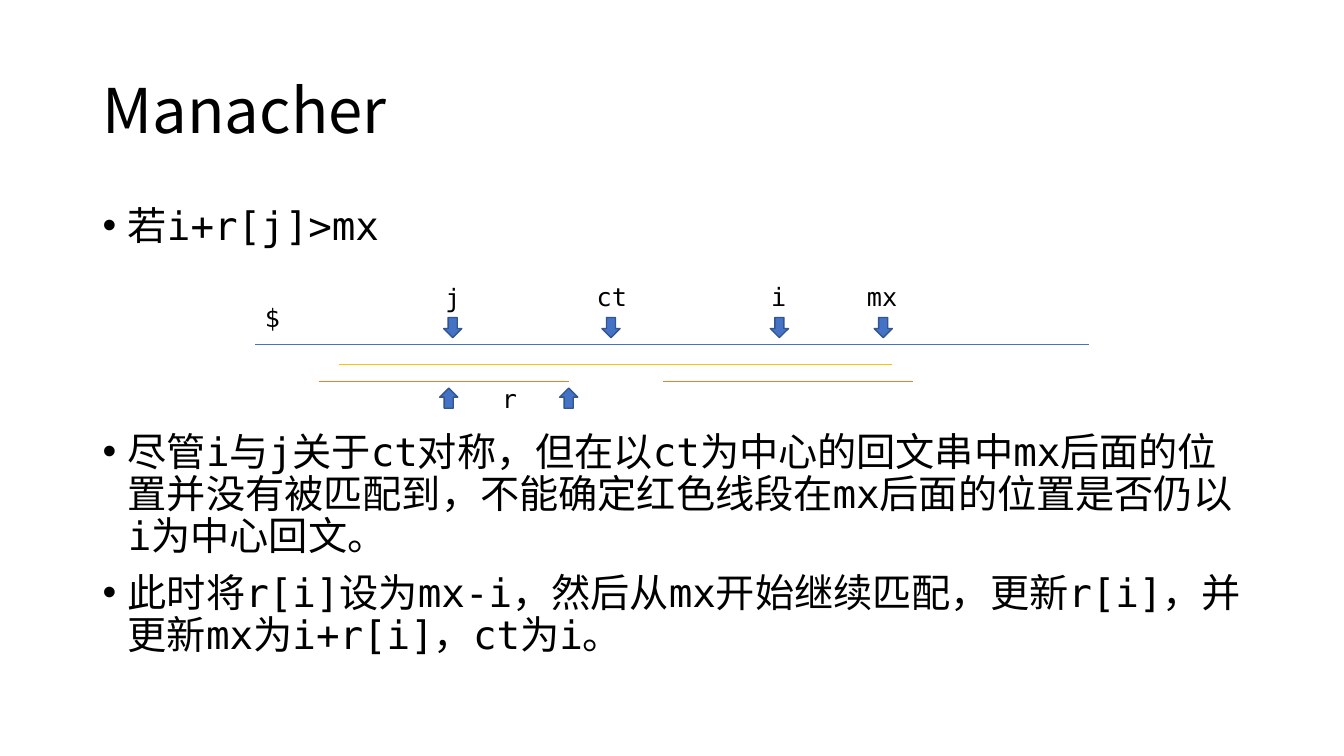
from pptx import Presentation
from pptx.dml.color import RGBColor
from pptx.enum import shapes, text
from pptx.oxml.ns import qn
from pptx.util import Inches, Pt

MONO, CHINESE = "DejaVu Sans Mono", "Noto Sans CJK SC"

deck = Presentation()
deck.slide_width, deck.slide_height = Inches(13.33), Inches(7.5)
slide = deck.slides.add_slide(deck.slide_layouts[6])


def color(value):
    return RGBColor.from_string(value)


def write(left, top, width, height, lines, size=18, font=MONO, anchor="TOP",
          spacing=1.0, before=None, bullet=False):
    frame = slide.shapes.add_textbox(*map(Inches, (left, top, width, height))).text_frame
    frame.word_wrap = True
    frame.vertical_anchor = getattr(text.MSO_ANCHOR, anchor)
    for n, line in enumerate(lines):
        par = frame.add_paragraph() if n else frame.paragraphs[0]
        par.line_spacing = spacing
        par.space_before = Pt(before[n] if before else 0)
        if bullet:
            props = par._p.get_or_add_pPr()
            props.set("marL", str(Inches(0.25)))
            props.set("indent", str(-Inches(0.25)))
            props.append(props.makeelement(qn("a:buFont"), {"typeface": "Arial"}))
            props.append(props.makeelement(qn("a:buChar"), {"char": "•"}))
        run = par.add_run()
        run.text = line
        run.font.size, run.font.name = Pt(size), font
        run.font.color.rgb = color("000000")
        latin = run._r.rPr.find(qn("a:latin"))
        latin.addnext(latin.makeelement(qn("a:ea"), {"typeface": CHINESE}))


# Title
write(0.92, 0.4, 11.5, 1.45, ["Manacher"], size=44, font="Noto Sans CJK JP",
      anchor="MIDDLE", spacing=0.9)

# Explanation, with room for the diagram after the first point
write(0.92, 2, 11.5, 4.76, [
    "若i+r[j]>mx",
    "尽管i与j关于ct对称，但在以ct为中心的回文串中mx后面的位置并没有被匹配到，"
    "不能确定红色线段在mx后面的位置是否仍以i为中心回文。",
    "此时将r[i]设为mx-i，然后从mx开始继续匹配，更新r[i]，并更新mx为i+r[i]，ct为i。",
], size=28, spacing=0.9, before=[10, 131, 10], bullet=True)

# String, palindrome around ct, palindromes around j and i
for start, end, y, stroke in [
    (2.53, 10.8, 3.42, "4472C4"),
    (8.85, 3.36, 3.61, "FFC000"),
    (3.16, 5.64, 3.78, "ED7D31"),
    (6.58, 9.06, 3.78, "ED7D31"),
]:
    segment = slide.shapes.add_connector(
        shapes.MSO_CONNECTOR.STRAIGHT, Inches(start), Inches(y), Inches(end), Inches(y))
    segment.line.color.rgb = color(stroke)
    segment.line.width = Pt(0.5)
    effects = segment._element.spPr
    effects.append(effects.makeelement(qn("a:effectLst"), {}))

# Position markers above the string, radius markers below it
for left, top, turn in [
    (4.4, 3.15, 0), (5.97, 3.15, 0), (7.64, 3.15, 0), (8.67, 3.15, 0),
    (4.36, 3.85, 180), (5.55, 3.85, 180),
]:
    marker = slide.shapes.add_shape(
        shapes.MSO_SHAPE.DOWN_ARROW, Inches(left), Inches(top), Inches(0.18), Inches(0.2))
    marker.rotation = turn
    marker.shadow.inherit = False
    marker.fill.solid()
    marker.fill.fore_color.rgb = color("4472C4")
    marker.line.color.rgb = color("325491")
    marker.line.width = Pt(1)

# Labels
for label, left, top in [
    ("$", 2.53, 2.95), ("j", 4.32, 2.75), ("ct", 5.82, 2.74),
    ("i", 7.55, 2.74), ("mx", 8.5, 2.74), ("r", 4.88, 3.75),
]:
    write(left, top, 0.56, 0.4, [label])

deck.save("out.pptx")
